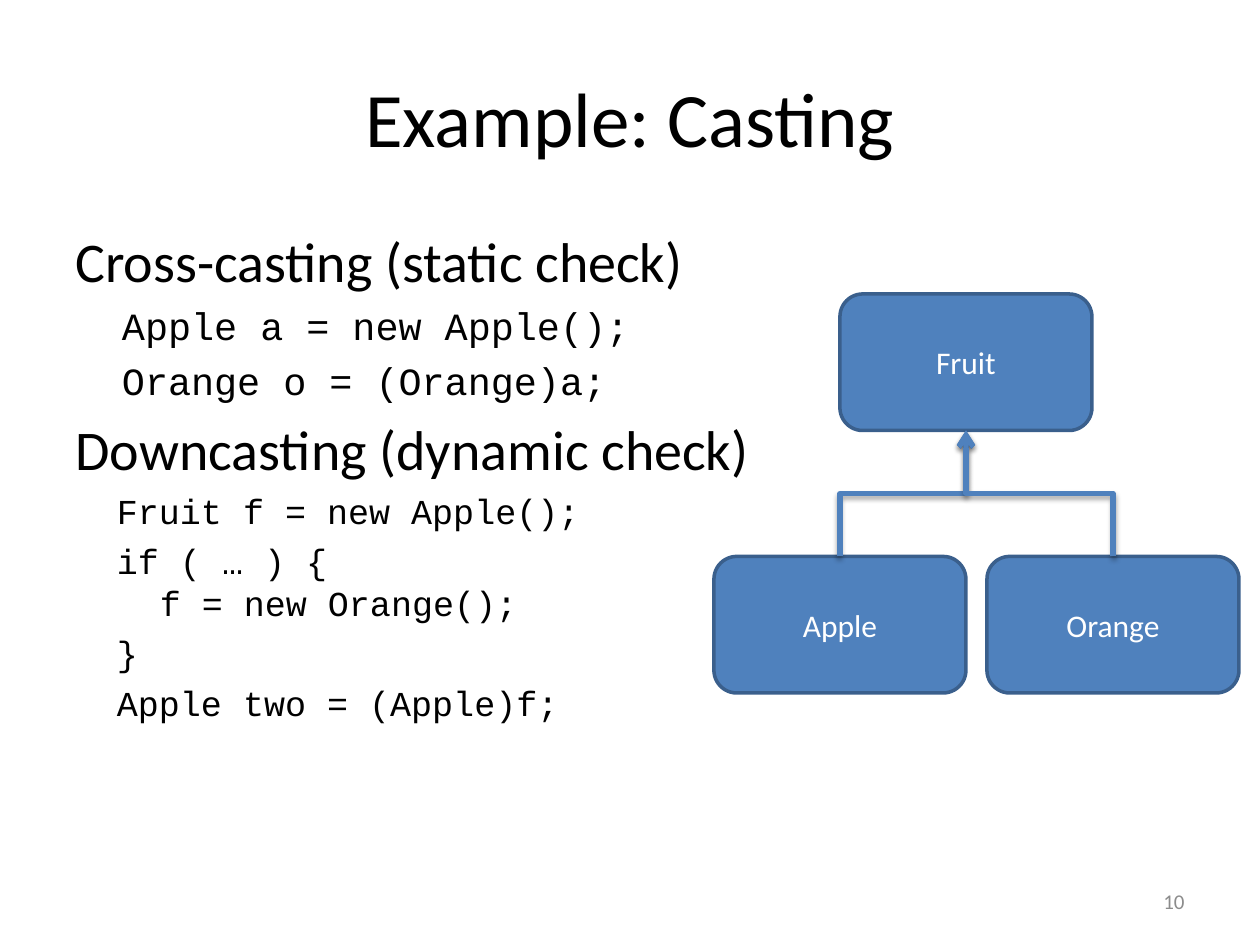
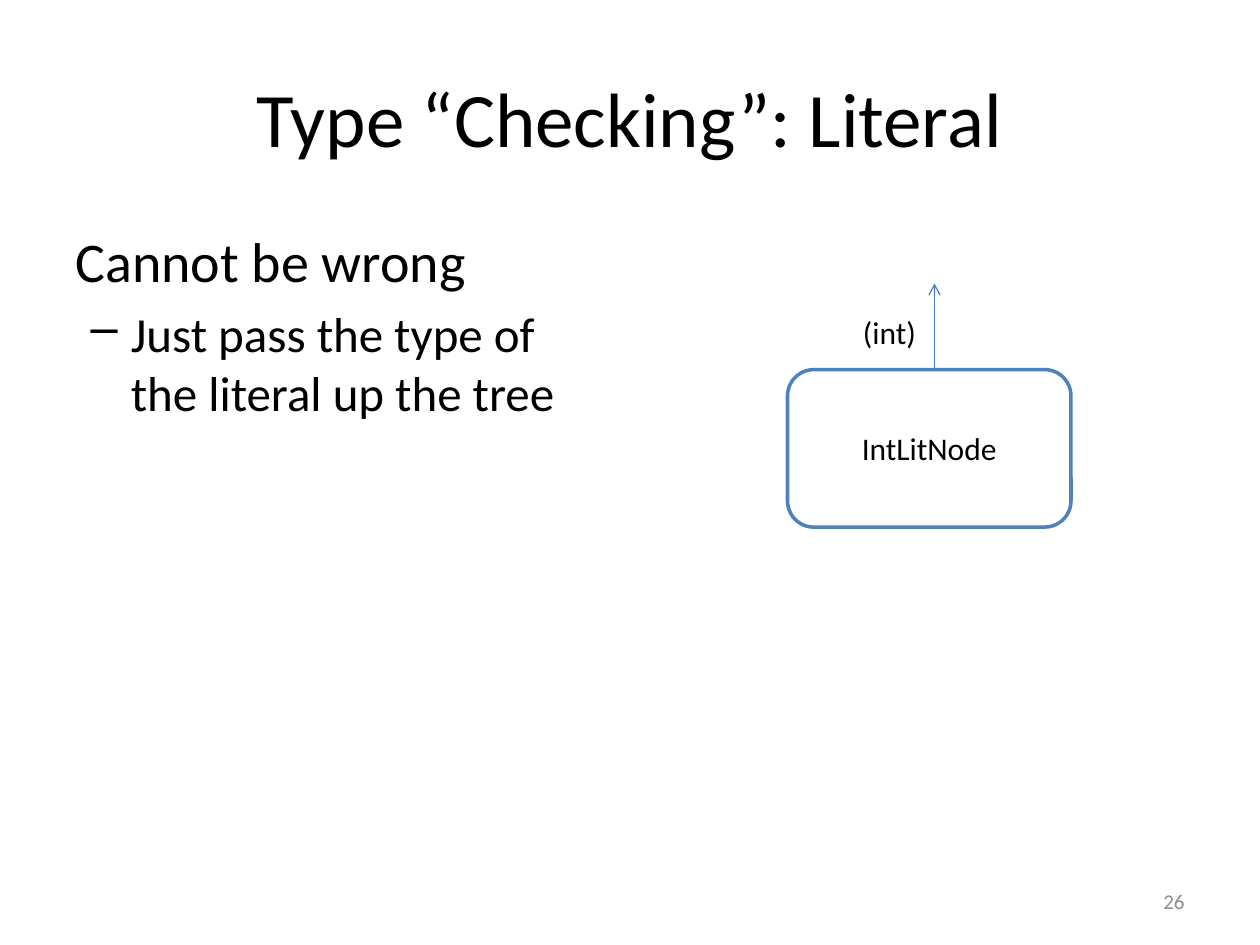
from lxml import etree
from pptx import Presentation
from pptx import util as u
from pptx.dml.color import RGBColor
from pptx.enum import shapes, text
from pptx.oxml.ns import qn

BLACK = RGBColor(0x00, 0x00, 0x00)
WHITE = RGBColor(0xFF, 0xFF, 0xFF)
GREY = RGBColor(0x8C, 0x8C, 0x8C)
BLUE = RGBColor(0x4F, 0x81, 0xBD)
DARK_BLUE = RGBColor(0x3A, 0x5F, 0x8C)
THIN_BLUE = RGBColor(0x4B, 0x7E, 0xBC)

SANS, MONO = "Calibri", "Courier New"
COLUMNS, ROWS = 120, 90
LINE_HEIGHT = 1.22

HEADING = {"size": 32}
POINT = {"size": 28, "margin": 0.44, "hanging": 0.32, "bullet": "–"}
LARGE_CODE = {"size": 22, "font": MONO, "margin": 0.37}
CODE = {"size": 20, "font": MONO, "margin": 0.33}
NESTED_CODE = CODE | {"margin": 0.67, "gap": 0}


def set_all(target, values):
    for name, value in values.items():
        setattr(target, name, value)


class Deck:
    """Holds the shared style and the current slide; lengths are grid columns and rows."""

    def __init__(self):
        self.presentation = Presentation()
        set_all(self.presentation, {"slide_width": u.Inches(10), "slide_height": u.Inches(7.5)})
        self.column = self.presentation.slide_width / COLUMNS
        self.row = self.presentation.slide_height / ROWS
        self.slide = None

    def place(self, left, top, width, height):
        return (round(left * self.column), round(top * self.row),
                round(width * self.column), round(height * self.row))

    def style(self, paragraph, size, color=BLACK, font=SANS, align=text.PP_ALIGN.LEFT):
        paragraph.alignment = align
        set_all(paragraph.font, {"size": u.Pt(size), "name": font})
        paragraph.font.color.rgb = color

    def new_slide(self, heading, number):
        self.slide = self.presentation.slides.add_slide(self.presentation.slide_layouts[5])
        title = self.slide.shapes.title
        set_all(title, dict(zip(("left", "top", "width", "height"), self.place(6, 3.6, 108, 15))))
        title.text_frame.text = heading
        title.text_frame.vertical_anchor = text.MSO_ANCHOR.MIDDLE
        self.style(title.text_frame.paragraphs[0], 44, align=text.PP_ALIGN.CENTER)
        self.label(number, (86, 83.4, 28, 4.8), size=12, color=GREY, align=text.PP_ALIGN.RIGHT,
                   anchor=text.MSO_ANCHOR.MIDDLE)

    def label(self, words, box, wrap=True, anchor=text.MSO_ANCHOR.TOP, **style):
        frame = self.slide.shapes.add_textbox(*self.place(*box)).text_frame
        set_all(frame, {"word_wrap": wrap, "vertical_anchor": anchor, "text": words})
        self.style(frame.paragraphs[0], **style)

    def body(self, width, lines):
        frame = self.slide.shapes.add_textbox(*self.place(6, 21, width, 59.4)).text_frame
        frame.word_wrap = True
        for index, (words, look) in enumerate(lines):
            paragraph = frame.add_paragraph() if index else frame.paragraphs[0]
            paragraph.text = words
            size, font = look["size"], look.get("font", SANS)
            self.style(paragraph, size, font=font)
            paragraph.space_before = u.Pt(look.get("gap", 0.2) * size)
            if font == MONO:
                paragraph.line_spacing = u.Pt(LINE_HEIGHT * size)
            self.indent(paragraph, **{key: look[key] for key in ("margin", "hanging", "bullet")
                                      if key in look})

    def indent(self, paragraph, margin=0, hanging=0, bullet=None):
        properties = paragraph._p.get_or_add_pPr()
        properties.set("marL", str(u.Inches(margin)))
        properties.set("indent", str(-u.Inches(hanging)))
        if bullet:
            mark = etree.Element(qn("a:buChar"), char=bullet)
            properties.insert_element_before(mark, "a:tabLst", "a:defRPr", "a:extLst")

    def node(self, words, box, fill=BLUE, outline=DARK_BLUE, color=WHITE):
        node = self.slide.shapes.add_shape(shapes.MSO_SHAPE.ROUNDED_RECTANGLE, *self.place(*box))
        node.shadow.inherit = False
        node.fill.solid()
        node.fill.fore_color.rgb = fill
        node.line.color.rgb = outline
        node.line.width = u.Pt(2)
        set_all(node.text_frame, {"text": words, "vertical_anchor": text.MSO_ANCHOR.MIDDLE})
        self.style(node.text_frame.paragraphs[0], 18, color, align=text.PP_ALIGN.CENTER)

    def arrow(self, start, end, color, width, kind=shapes.MSO_CONNECTOR.STRAIGHT):
        """Draw an arrow and return it with its empty effect list."""
        arrow = self.slide.shapes.add_connector(kind, *self.place(*start, *end))
        arrow.line.color.rgb = color
        arrow.line.width = u.Pt(width)
        etree.SubElement(arrow.line._get_or_add_ln(), qn("a:tailEnd"), type="arrow")
        return arrow, etree.SubElement(arrow._element.spPr, qn("a:effectLst"))

    def inherit_arrow(self, child, parent):
        """Join a child's top to its parent's bottom by an elbow that leaves upwards."""
        (x1, y1), (x2, y2) = child, parent
        middle_x, middle_y = (x1 + x2) / 2, (y1 + y2) / 2
        half_rise, half_run = (y1 - y2) / 2, (x2 - x1) / 2
        # The elbow is laid out sideways, then turned by 270 degrees.
        arrow, effects = self.arrow((middle_x - half_rise, middle_y - half_run),
                                    (middle_x + half_rise, middle_y + half_run),
                                    BLUE, 3, shapes.MSO_CONNECTOR.ELBOW)
        arrow._element.spPr.find(qn("a:xfrm")).set("rot", str(270 * 60000))
        shadow = etree.SubElement(effects, qn("a:outerShdw"), blurRad=str(u.Pt(3.1)),
                                  dist=str(u.Pt(1.8)), dir=str(90 * 60000), rotWithShape="0")
        tint = etree.SubElement(shadow, qn("a:srgbClr"), val=str(BLACK))
        etree.SubElement(tint, qn("a:alpha"), val="35000")


def casting_slide(deck):
    deck.new_slide("Example: Casting", "10")
    deck.body(108, [
        ("Cross-casting (static check)", HEADING),
        ("Apple a = new Apple();", LARGE_CODE),
        ("Orange o = (Orange)a;", LARGE_CODE),
        ("Downcasting (dynamic check)", HEADING),
        ("Fruit f = new Apple();", CODE),
        ("if ( … ) {", CODE),
        ("f = new Orange();", NESTED_CODE),
        ("}", CODE),
        ("Apple two = (Apple)f;", CODE),
    ])
    width, height = 24, 13
    fruit_left, fruit_top, child_top = 80, 28, 53
    children = {"Apple": 68, "Orange": 94}
    deck.node("Fruit", (fruit_left, fruit_top, width, height))
    for name, left in children.items():
        deck.node(name, (left, child_top, width, height))
    for left in children.values():
        deck.inherit_arrow((left + width / 2, child_top),
                           (fruit_left + width / 2, fruit_top + height))


def literal_slide(deck):
    deck.new_slide("Type “Checking”: Literal", "26")
    deck.body(52, [
        ("Cannot be wrong", HEADING),
        ("Just pass the type of the literal up the tree", POINT),
    ])
    node_top, arrow_x = 35.2, 89
    deck.node("IntLitNode", (75, node_top, 27, 15), WHITE, BLUE, BLACK)
    deck.arrow((arrow_x, node_top), (arrow_x, 27), THIN_BLUE, 0.75)
    deck.label("(int)", (81, 29.2, 7.6, 4.8), wrap=False, size=18)


def main():
    deck = Deck()
    casting_slide(deck)
    literal_slide(deck)
    deck.presentation.save("out.pptx")


if __name__ == "__main__":
    main()
